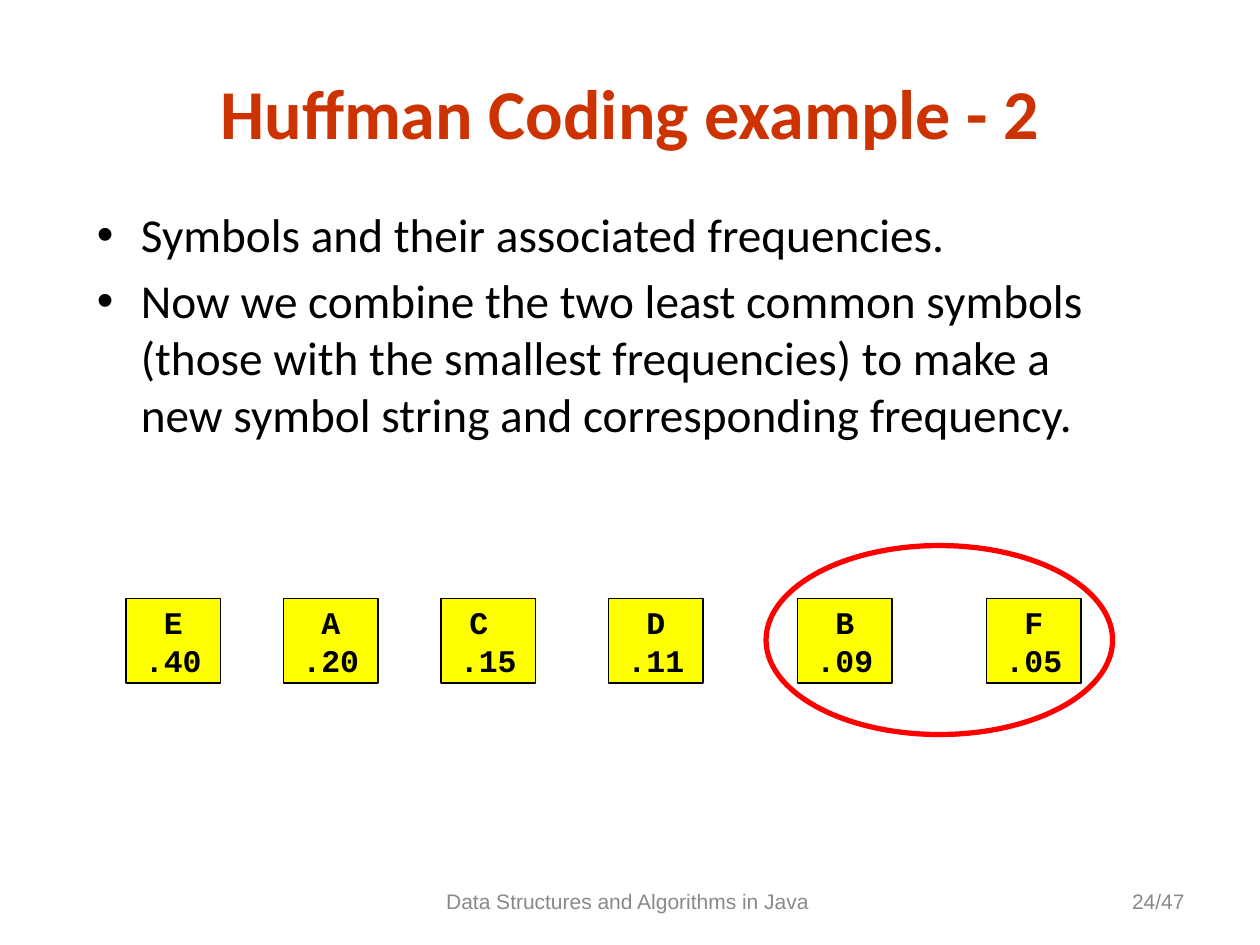
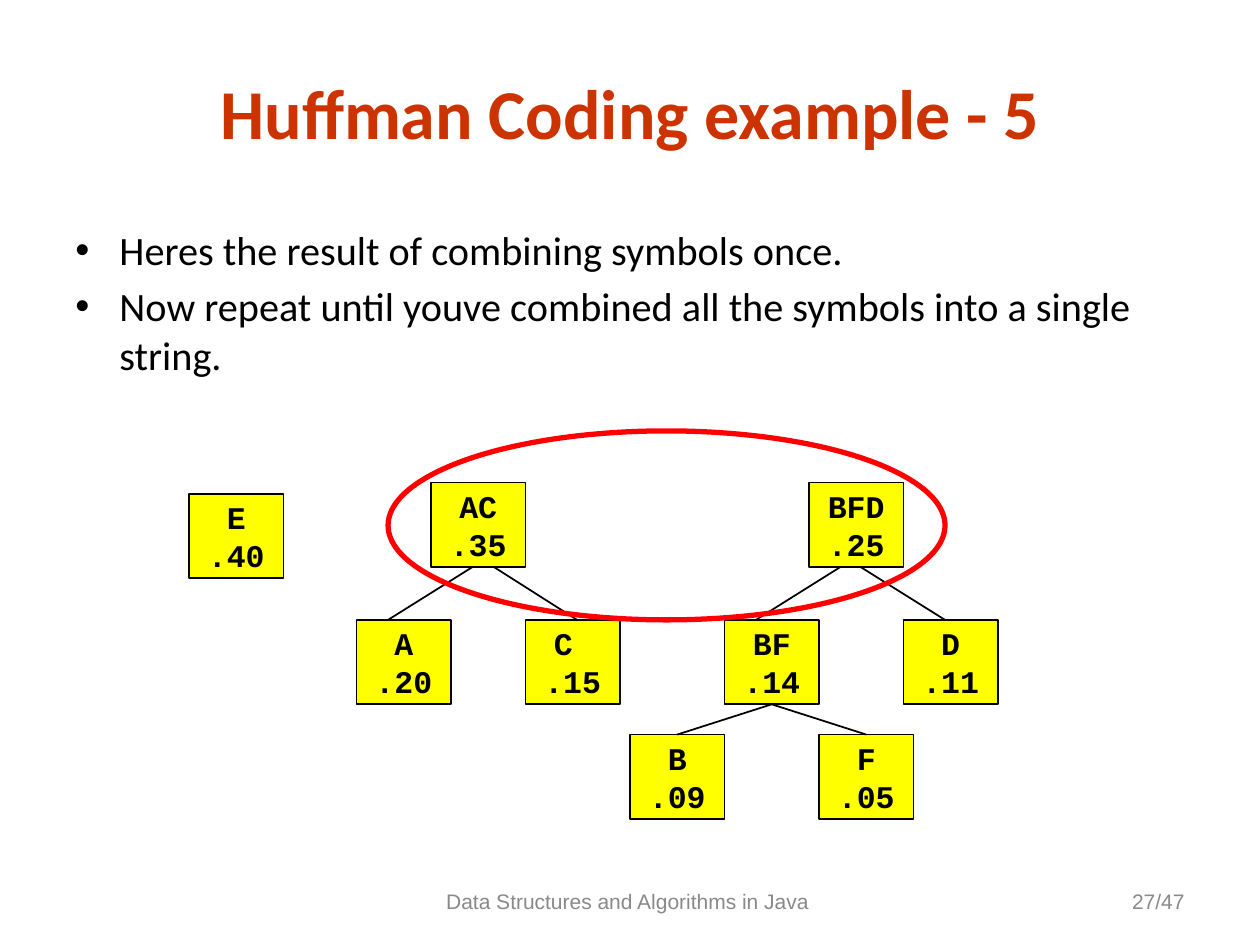
from dataclasses import dataclass

from lxml import etree
from pptx import Presentation
from pptx.dml.color import RGBColor
from pptx.enum.shapes import MSO_CONNECTOR, MSO_SHAPE
from pptx.enum.text import MSO_ANCHOR, MSO_AUTO_SIZE, PP_ALIGN
from pptx.oxml.ns import qn
from pptx.util import Inches, Pt

LEFT, CENTER, RIGHT = PP_ALIGN.LEFT, PP_ALIGN.CENTER, PP_ALIGN.RIGHT
TOP, MIDDLE = MSO_ANCHOR.TOP, MSO_ANCHOR.MIDDLE
NO_FIT = MSO_AUTO_SIZE.NONE
RECTANGLE, OVAL = MSO_SHAPE.RECTANGLE, MSO_SHAPE.OVAL
STRAIGHT = MSO_CONNECTOR.STRAIGHT
TITLE_ONLY = 5
TOP_SITE, BOTTOM_SITE = 0, 2


@dataclass(frozen=True)
class Theme:
    title_color: str = "CC3300"
    text_color: str = "000000"
    footer_color: str = "898989"
    node_fill: str = "FFFF00"
    ring_color: str = "FF0000"
    text_font: str = "Calibri"
    footer_font: str = "Arial"
    node_font: str = "Courier New"
    title_size: int = 40
    node_size: int = 18
    footer_size: int = 12
    line_width: int = 1
    ring_width: int = 3


@dataclass(frozen=True)
class Box:
    left: float
    top: float
    width: float
    height: float

    def inches(self):
        return [Inches(v) for v in (self.left, self.top, self.width, self.height)]


THEME = Theme()
TITLE_BOX = Box(0.75, 0.5, 8.5, 0.77)
FOOTER_BOX = Box(3.42, 6.95, 3.17, 0.4)
NUMBER_BOX = Box(7.17, 6.95, 2.33, 0.4)
NODE_WIDTH, NODE_HEIGHT = 0.75, 0.67
BULLET_INDENT = 0.35
PAGE_COUNT = 47
FREQUENCIES = {"E": ".40", "A": ".20", "C ": ".15", "D": ".11", "B": ".09",
               "F": ".05", "AC": ".35", "BF": ".14", "BFD": ".25"}


def add_bullet(para):
    properties = para._p.get_or_add_pPr()
    properties.set("marL", str(Inches(BULLET_INDENT)))
    properties.set("indent", str(-Inches(BULLET_INDENT)))
    etree.SubElement(properties, qn("a:buFont")).set("typeface", "Arial")
    etree.SubElement(properties, qn("a:buChar")).set("char", "•")


def write_text(frame, lines, *, font, size, color, bold=False, align=LEFT,
               anchor=MIDDLE, wrap=True, bullets=False):
    frame.auto_size = NO_FIT
    frame.word_wrap = wrap
    frame.vertical_anchor = anchor
    for index, line in enumerate(lines):
        para = frame.add_paragraph() if index else frame.paragraphs[0]
        if bullets:
            add_bullet(para)
            para.space_before = Pt(round(size * 0.2, 1) if index else 0)
        para.alignment = align
        span = para.add_run()
        span.text = line
        span.font.name = font
        span.font.size = Pt(size)
        span.font.bold = bold
        span.font.color.rgb = RGBColor.from_string(color)


def add_title(page, box, text):
    title = page.shapes.title
    title.left, title.top, title.width, title.height = box.inches()
    write_text(title.text_frame, [text], font=THEME.text_font, size=THEME.title_size,
               color=THEME.title_color, bold=True, align=CENTER)


def add_footer(page, number):
    parts = ((FOOTER_BOX, "Data Structures and Algorithms in Java ", CENTER),
             (NUMBER_BOX, f"{number}/{PAGE_COUNT}", RIGHT))
    for box, text, align in parts:
        footer = page.shapes.add_textbox(*box.inches())
        write_text(footer.text_frame, [text], font=THEME.footer_font,
                   size=THEME.footer_size, color=THEME.footer_color, align=align)


def add_bullets(page, box, lines, size):
    body = page.shapes.add_textbox(*box.inches())
    write_text(body.text_frame, lines, font=THEME.text_font, size=size,
               color=THEME.text_color, anchor=TOP, bullets=True)


def add_outlined(page, kind, box, color, width):
    shape = page.shapes.add_shape(kind, *box.inches())
    shape.shadow.inherit = False
    shape.fill.background()
    shape.line.color.rgb = RGBColor.from_string(color)
    shape.line.width = Pt(width)
    return shape


def add_ring(page, box):
    add_outlined(page, OVAL, box, THEME.ring_color, THEME.ring_width)


def add_nodes(page, box, places):
    """Place symbols at offsets from the box and return their shapes by symbol."""
    nodes = {}
    for symbol, (left, top) in places.items():
        node_box = Box(box.left + left, box.top + top, NODE_WIDTH, NODE_HEIGHT)
        node = add_outlined(page, RECTANGLE, node_box, THEME.text_color, THEME.line_width)
        node.fill.solid()
        node.fill.fore_color.rgb = RGBColor.from_string(THEME.node_fill)
        write_text(node.text_frame, [symbol, FREQUENCIES[symbol]], font=THEME.node_font,
                   size=THEME.node_size, color=THEME.text_color, bold=True,
                   align=CENTER, wrap=False)
        nodes[symbol] = node
    return nodes


def add_branch(page, parent, child, start=None, end=None):
    """Join side middles, or points start and end inches from the left edges."""
    middle = NODE_WIDTH / 2
    branch = page.shapes.add_connector(
        STRAIGHT,
        parent.left + Inches(start or middle), parent.top + parent.height,
        child.left + Inches(end or middle), child.top)
    if start is None:
        branch.begin_connect(parent, BOTTOM_SITE)
    if end is None:
        branch.end_connect(child, TOP_SITE)
    branch.line.color.rgb = RGBColor.from_string(THEME.text_color)
    branch.line.width = Pt(THEME.line_width)
    etree.SubElement(branch._element.spPr, qn("a:effectLst"))


def add_page(deck, step, number):
    page = deck.slides.add_slide(deck.slide_layouts[TITLE_ONLY])
    add_title(page, TITLE_BOX, f"Huffman Coding example - {step}")
    add_footer(page, number)
    return page


def add_symbols_page(deck):
    page = add_page(deck, 2, 24)
    add_bullets(page, Box(0.67, 1.58, 8.5, 1.99), [
        "Symbols and their associated frequencies.",
        "Now we combine the two least common symbols (those with the smallest "
        "frequencies) to make a new symbol string and corresponding frequency.",
    ], 27)
    offsets = (0, 1.25, 2.5, 3.83, 5.33, 6.83)
    row = {symbol: (left, 0) for symbol, left in zip(FREQUENCIES, offsets)}
    add_nodes(page, Box(1, 4.75, 7.58, NODE_HEIGHT), row)
    add_ring(page, Box(6.08, 4.33, 2.75, 1.5))


def add_tree_page(deck):
    page = add_page(deck, 5, 27)
    add_bullets(page, Box(0.5, 1.74, 9, 1.33), [
        "Heres the result of combining symbols once.",
        "Now repeat until youve combined all the symbols into a single string.",
    ], 23)
    roots, children, leaves = 0, 1.09, 2
    nodes = add_nodes(page, Box(1.5, 3.83, 6.42, 2.67), {
        "E": (0, 0.09),
        "AC": (1.92, roots), "BFD": (4.92, roots),
        "A": (1.33, children), "C ": (2.67, children),
        "BF": (4.25, children), "D": (5.67, children),
        "B": (3.5, leaves), "F": (5, leaves),
    })
    branches = (("AC", "A", 0.33, 0.25), ("AC", "C ", 0.5, 0.41),
                ("BFD", "BF", 0.25, 0.25), ("BFD", "D", 0.41, 0.33),
                ("BF", "B"), ("BF", "F"))
    for parent, child, *ends in branches:
        add_branch(page, nodes[parent], nodes[child], *ends)
    add_ring(page, Box(3.08, 3.42, 4.42, 1.5))


def main():
    deck = Presentation()
    deck.slide_width, deck.slide_height = Inches(10), Inches(7.5)
    add_symbols_page(deck)
    add_tree_page(deck)
    deck.save("out.pptx")


if __name__ == "__main__":
    main()
